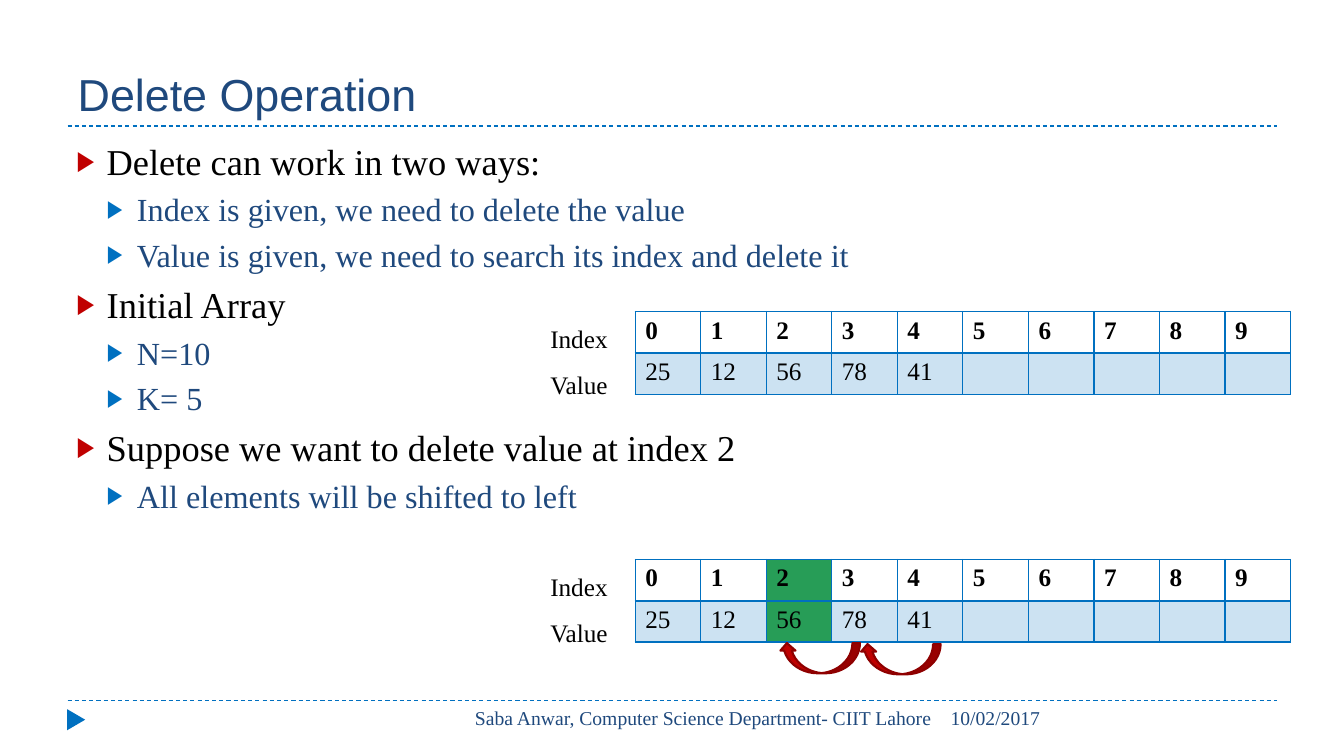
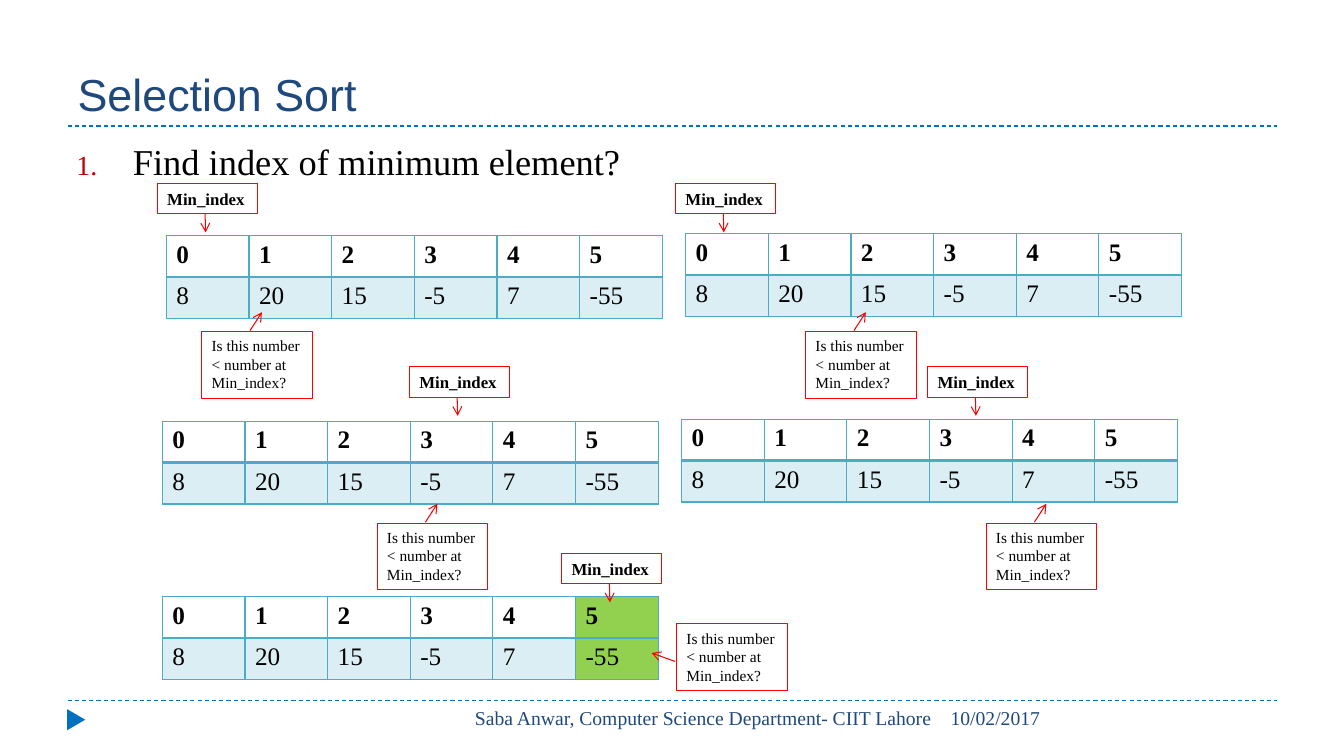
from pptx import Presentation
from pptx.dml.color import RGBColor
from pptx.enum.dml import MSO_LINE_DASH_STYLE as DASH
from pptx.enum.shapes import MSO_CONNECTOR, MSO_SHAPE
from pptx.enum.text import MSO_ANCHOR as ANCHOR, MSO_AUTO_SIZE as AUTO_SIZE, PP_ALIGN as ALIGN
from pptx.oxml.ns import qn
from pptx.util import Pt
from lxml.etree import SubElement

EMU_PER_PX = 9144
SERIF, SANS = "Times New Roman", "Arial"
COLORS = {
    "navy": "1F497D", "blue": "0070C0", "red": "C00000", "dark_red": "8E0000",
    "callout": "FF0000", "teal": "4BACC6", "green": "279D57", "lime": "92D050",
    "black": "000000",
}
LEVELS = [
    {"size": 26, "color": "black", "bullet": "red", "before": 6},
    {"size": 23, "color": "navy", "bullet": "blue", "before": 5},
]
BULLET_INDENT, NUMBER_INDENT = 30, 56
ROW_HEIGHT = 41
MIN_LABEL = "Min_index"
QUESTION = "Is this number < number at Min_index?"
POINT_DOWN = (1.008, 0.479, 1.619, 0.484)
POINT_UP = (-0.015, 0.436, -0.292, 0.544)
POINT_LEFT = (0.565, -0.012, 0.437, -0.225)

DELETE_POINTS = [
    (0, "Delete can work in two ways:"),
    (1, "Index is given, we need to delete the value"),
    (1, "Value is given, we need to search its index and delete it"),
    (0, "Initial Array"),
    (1, "N=10"),
    (1, "K= 5"),
    (0, "Suppose we want to delete value at index 2"),
    (1, "All elements will be shifted to left"),
]
DELETE_VALUES = ["25", "12", "56", "78", "41"] + [""] * 5
SORT_VALUES = ["8", "20", "15", "-5", "7", "-55"]
SORT_STEPS = [
    {"array": (165, 234), "label": (156, 182), "question": (200, 329)},
    {"array": (680, 232), "label": (670, 182), "question": (799, 329)},
    {"array": (161, 418), "label": (406, 364), "question": (374, 519)},
    {"array": (676, 416), "label": (920, 364), "question": (978, 519)},
    {"array": (161, 592), "label": (557, 549), "question": (671, 619),
     "marked": 5, "pointer": POINT_LEFT},
]


def px(*lengths):
    return [length * EMU_PER_PX for length in lengths]


def rgb(name):
    return RGBColor.from_string(COLORS[name])


def add_run(paragraph, text, size, color="black", font=SERIF, bold=False):
    run = paragraph.add_run()
    run.text = text
    run.font.size = Pt(size)
    run.font.name = font
    run.font.bold = bold
    run.font.color.rgb = rgb(color)


def add_text_box(slide, box):
    frame = slide.shapes.add_textbox(*px(*box)).text_frame
    frame.word_wrap = True
    return frame


def add_paragraph(frame, is_first):
    return frame.paragraphs[0] if is_first else frame.add_paragraph()


def add_bullet(paragraph, color, margin, hanging, character=None):
    properties = paragraph._p.get_or_add_pPr()
    properties.set("marL", str(margin * EMU_PER_PX))
    properties.set("indent", str(-hanging * EMU_PER_PX))
    bullet_color = SubElement(properties, qn("a:buClr"))
    SubElement(bullet_color, qn("a:srgbClr"), val=COLORS[color])
    SubElement(properties, qn("a:buSzPct"), val="76000")
    if character:
        SubElement(properties, qn("a:buFont"), typeface=SANS)
        SubElement(properties, qn("a:buChar"), char=character)
    else:
        SubElement(properties, qn("a:buFont"), typeface=SERIF)
        SubElement(properties, qn("a:buAutoNum"), type="arabicPeriod")


def add_body(slide, points, numbered=False):
    frame = add_text_box(slide, (66, 133, 1200, 540))
    for index, (level, text) in enumerate(points):
        style = LEVELS[level]
        paragraph = add_paragraph(frame, index == 0)
        paragraph.level = level
        if index:
            paragraph.space_before = Pt(style["before"])
        if numbered:
            add_bullet(paragraph, style["bullet"], NUMBER_INDENT, NUMBER_INDENT)
        else:
            margin = BULLET_INDENT * (level + 1)
            add_bullet(paragraph, style["bullet"], margin, BULLET_INDENT, "▶")
        add_run(paragraph, text, style["size"], style["color"])


def add_rule(slide, y):
    rule = slide.shapes.add_connector(MSO_CONNECTOR.STRAIGHT, *px(67, y, 1267, y))
    rule.line.color.rgb = rgb("blue")
    rule.line.width = Pt(0.75)
    rule.line.dash_style = DASH.DASH
    SubElement(rule._element.spPr, qn("a:effectLst"))


def add_footer_text(slide, box, text, align):
    paragraph = add_text_box(slide, box).paragraphs[0]
    paragraph.alignment = align
    add_run(paragraph, text, 14, "navy")


def add_titled_slide(presentation, title_text):
    slide = presentation.slides.add_slide(presentation.slide_layouts[5])
    add_rule(slide, 695)
    add_rule(slide, 125)
    marker = slide.shapes.add_shape(MSO_SHAPE.ISOSCELES_TRIANGLE, *px(65, 705, 21, 18))
    marker.rotation = 90
    marker.shadow.inherit = False
    marker.fill.solid()
    marker.fill.fore_color.rgb = rgb("blue")
    marker.line.fill.background()
    title = slide.shapes.title
    title.left, title.top, title.width, title.height = px(67, 17, 1200, 108)
    title.text_frame.vertical_anchor = ANCHOR.BOTTOM
    paragraph = title.text_frame.paragraphs[0]
    paragraph.alignment = ALIGN.LEFT
    add_run(paragraph, title_text, 32, "navy", SANS)
    add_footer_text(slide, (933, 695, 334, 40), "10/02/2017", ALIGN.LEFT)
    add_footer_text(slide, (423, 695, 511, 40),
                    "Saba Anwar, Computer Science Department- CIIT Lahore", ALIGN.RIGHT)
    return slide


def set_borders(cell, color, bottom_width):
    properties = cell._tc.get_or_add_tcPr()
    for side, width in (("L", 1), ("R", 1), ("T", 1), ("B", bottom_width)):
        line = SubElement(properties, qn(f"a:ln{side}"), w=str(Pt(width)))
        fill = SubElement(line, qn("a:solidFill"))
        SubElement(fill, qn("a:srgbClr"), val=COLORS[color])


def fill_cell(cell, color, alpha=None):
    cell.fill.solid()
    cell.fill.fore_color.rgb = rgb(color)
    if alpha:
        color_element = cell._tc.tcPr.find(f".//{qn('a:solidFill')}[last()]")
        color_element = cell._tc.tcPr.find(qn("a:solidFill")).find(qn("a:srgbClr"))
        SubElement(color_element, qn("a:alpha"), val=str(alpha * 1000))


def add_array(slide, position, values, column_width, color, marked=None, mark_color=None):
    count = len(values)
    box = px(*position, column_width * count, ROW_HEIGHT * 2)
    table = slide.shapes.add_table(2, count, *box).table
    for column, value in enumerate(values):
        for row, text in enumerate((str(column), value)):
            cell = table.cell(row, column)
            is_header = row == 0
            set_borders(cell, color, 2 if is_header else 1)
            if column == marked:
                fill_cell(cell, mark_color)
            elif is_header:
                cell.fill.background()
            else:
                fill_cell(cell, color, 20)
            if text:
                add_run(cell.text_frame.paragraphs[0], text, 18, bold=is_header)


def add_row_labels(slide, position):
    frame = add_text_box(slide, (*position, 93, 101))
    for index, text in enumerate(("Index", "Value")):
        paragraph = add_paragraph(frame, index == 0)
        paragraph.line_spacing = 1.5
        add_run(paragraph, text, 18)


def add_shift_arrow(slide, position):
    arrow = slide.shapes.add_shape(MSO_SHAPE.CURVED_UP_ARROW, *px(*position, 80, 30))
    arrow._element.spPr.find(qn("a:xfrm")).set("flipH", "1")
    arrow.shadow.inherit = False
    arrow.fill.solid()
    arrow.fill.fore_color.rgb = rgb("red")
    arrow.line.color.rgb = rgb("dark_red")
    arrow.line.width = Pt(1.5)


def add_callout(slide, box, text, size, pointer, bold=False):
    callout = slide.shapes.add_shape(MSO_SHAPE.LINE_CALLOUT_1, *px(*box))
    for index, value in enumerate(pointer):
        callout.adjustments[index] = value
    callout.shadow.inherit = False
    callout.fill.background()
    callout.line.color.rgb = rgb("callout")
    callout.line.width = Pt(0.75)
    SubElement(callout.line._get_or_add_ln(), qn("a:tailEnd"), type="arrow")
    frame = callout.text_frame
    frame.word_wrap = True
    frame.auto_size = AUTO_SIZE.SHAPE_TO_FIT_TEXT
    frame.vertical_anchor = ANCHOR.TOP
    paragraph = frame.paragraphs[0]
    paragraph.alignment = ALIGN.LEFT
    add_run(paragraph, text, size, bold=bold)


def add_delete_slide(presentation):
    slide = add_titled_slide(presentation, "Delete Operation")
    add_body(slide, DELETE_POINTS)
    for top, marked in ((309, None), (555, 2)):
        add_array(slide, (630, top), DELETE_VALUES, 65, "blue", marked, "green")
        add_row_labels(slide, (536, top - 8))
    for position in ((853, 639), (773, 638)):
        add_shift_arrow(slide, position)


def add_sort_slide(presentation):
    slide = add_titled_slide(presentation, "Selection Sort")
    add_body(slide, [(0, "Find index of minimum element?")], numbered=True)
    for step in SORT_STEPS:
        add_array(slide, step["array"], SORT_VALUES, 82, "teal", step.get("marked"), "lime")
        add_callout(slide, (*step["label"], 99, 30), MIN_LABEL, 12, POINT_DOWN, bold=True)
        add_callout(slide, (*step["question"], 110, 66), QUESTION, 11,
                    step.get("pointer", POINT_UP))


def main():
    presentation = Presentation()
    presentation.slide_width, presentation.slide_height = px(1333, 750)
    add_delete_slide(presentation)
    add_sort_slide(presentation)
    presentation.save("out.pptx")


if __name__ == "__main__":
    main()
